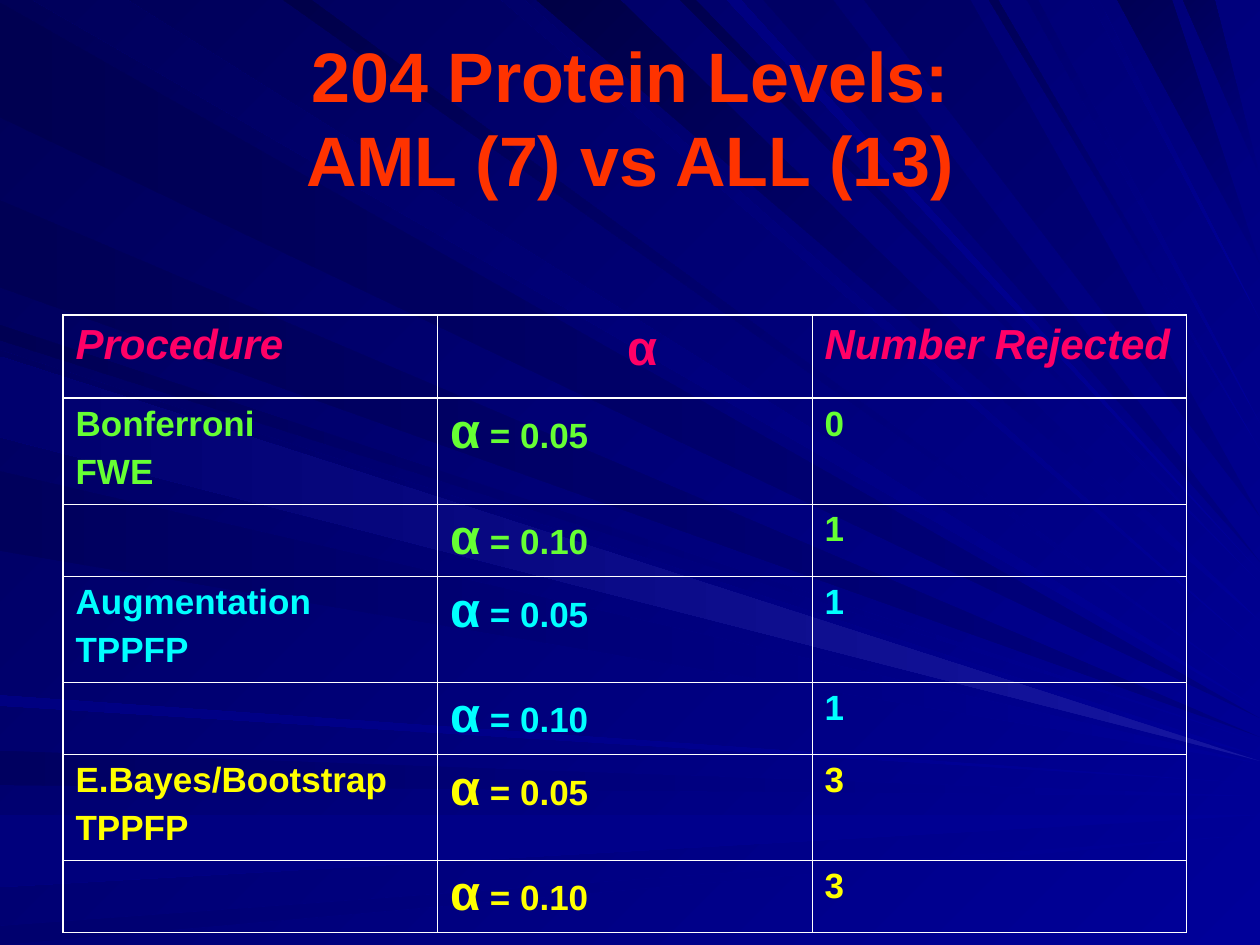
from lxml import etree
from pptx import Presentation
from pptx.dml.color import RGBColor
from pptx.enum import text
from pptx.oxml.ns import qn
from pptx.util import Cm, Pt

FONT = "Arial"
TITLE = "204 Protein Levels:\vAML (7) vs ALL (13)"
TITLE_COLOR, HEADER_COLOR, BORDER_COLOR = "FF3300", "FF0066", "FFFFFF"

HEADERS = ["Procedure", "α", "Number Rejected"]
# procedure lines, colour, (level, number rejected)
PROCEDURES = [
    (["Bonferroni", "FWE"], "66FF33", [("0.05", "0"), ("0.10", "1")]),
    (["Augmentation", "TPPFP"], "00FFFF", [("0.05", "1"), ("0.10", "1")]),
    (["E.Bayes/Bootstrap", "TPPFP"], "FFFF00", [("0.05", "3"), ("0.10", "3")]),
]
COLUMN_WIDTH = 7.55
HEADER_HEIGHT, FIRST_HEIGHT, SECOND_HEIGHT = 1.68, 2.13, 1.46
OUTER, HEADER_RULE, INNER = 1.08, 1.47, 0.45

# Each ray narrows from a stretch of the left or top edge to a tip on the right edge.
# Start and end of the stretch, height of the tip, colours at tip and edge
RAY_UNIT = Cm(0.0254)
RIGHT_EDGE = 1000
LEFT_RAYS = [
    (2, 93, 570, "000080", "000051"),
    (596, 623, 632, "000099", "000060"),
    (647, 704, 647, "000099", "00007C"),
    (735, 750, 662, "000099", "00006E"),
    (258, 270, 589, "000099", "000053"),
    (159, 228, 585, "000080", "000055"),
    (278, 342, 600, "000099", "000060"),
    (374, 437, 606, "000099", "00005C"),
    (552, 560, 622, "000099", "000081"),
    (283, 347, 604, "1616A1", "00006E"),
]
TOP_RAYS = [
    (26, 101, 563, "000099", "00005C"),
    (398, 416, 518, "000099", "00006A"),
    (426, 492, 493, "000099", "000046"),
    (540, 552, 463, "000099", "00004E"),
    (606, 661, 446, "000080", "000064"),
    (887, 930, 210, "000080", "000055"),
    (939, 964, 140, "000080", "000059"),
    (225, 247, 550, "000099", "00004A"),
    (577, 588, 454, "000099", "000081"),
    (686, 770, 410, "000080", "000064"),
    (785, 792, 357, "000099", "000057"),
    (815, 824, 336, "000099", "00006E"),
    (865, 872, 254, "000099", "000078"),
]


def rgb(color):
    return RGBColor.from_string(color)


def paint_gradient(fill, colors, angle):
    """Fill with a gradient turned counterclockwise by angle."""
    fill.gradient()
    fill.gradient_angle = angle
    for stop, color in zip(fill.gradient_stops, colors):
        stop.color.rgb = rgb(color)


def draw_ray(slide, base, tip, colors, angle):
    builder = slide.shapes.build_freeform(*base[0], scale=RAY_UNIT)
    builder.add_line_segments([(RIGHT_EDGE, tip), base[1]], close=True)
    ray = builder.convert_to_shape()
    ray.shadow.inherit = False
    ray.line.fill.background()
    paint_gradient(ray.fill, colors, angle)


def add_background(slide):
    paint_gradient(slide.background.fill, ["000099", "000057"], 135)
    for start, end, tip, *colors in LEFT_RAYS:
        draw_ray(slide, [(0, start), (0, end)], tip, colors, 180)
    for start, end, tip, *colors in TOP_RAYS:
        draw_ray(slide, [(start, 0), (end, 0)], tip, colors, 135)


def style(font, size, color, italic=False):
    font.name, font.size, font.bold, font.italic = FONT, Pt(size), True, italic
    font.color.rgb = rgb(color)


def write(cell, lines, size, color, italic=False):
    cell.text = "\n".join(lines)
    for index, paragraph in enumerate(cell.text_frame.paragraphs):
        if index:
            paragraph.space_before = Pt(5)
        style(paragraph.font, size, color, italic)


def write_level(cell, level, color):
    paragraph = cell.text_frame.paragraphs[0]
    for part, size in (("α", 28), (f" = {level}", 20)):
        run = paragraph.add_run()
        run.text = part
        style(run.font, size, color)


def set_borders(cell, widths):
    """Widths in points: left, right, top, bottom."""
    properties = cell._tc.get_or_add_tcPr()
    for index, (side, width) in enumerate(zip("LRTB", widths)):
        line = etree.Element(qn(f"a:ln{side}"), w=str(Pt(width)))
        solid = etree.SubElement(line, qn("a:solidFill"))
        etree.SubElement(solid, qn("a:srgbClr"), val=BORDER_COLOR)
        properties.insert(index, line)


def add_title(slide):
    title = slide.shapes.title
    slide.shapes._spTree.append(title._element)  # in front of the rays
    title.left, title.top, title.width, title.height = Cm(1.27), Cm(0.76), Cm(22.86), Cm(3.18)
    frame = title.text_frame
    frame.text = TITLE
    frame.auto_size = text.MSO_AUTO_SIZE.NONE
    frame.vertical_anchor = text.MSO_ANCHOR.MIDDLE
    frame.paragraphs[0].alignment = text.PP_ALIGN.CENTER
    style(frame.paragraphs[0].font, 40, TITLE_COLOR)


def add_results(slide):
    heights = [HEADER_HEIGHT] + [FIRST_HEIGHT, SECOND_HEIGHT] * len(PROCEDURES)
    rows, columns = len(heights), len(HEADERS)
    table = slide.shapes.add_table(rows, columns, Cm(1.27), Cm(6.35),
                                   Cm(COLUMN_WIDTH * columns), Cm(sum(heights))).table
    table.first_row = table.horz_banding = False
    for column in table.columns:
        column.width = Cm(COLUMN_WIDTH)
    for row, height in zip(table.rows, heights):
        row.height = Cm(height)

    for c, header in enumerate(HEADERS):
        is_symbol = header == "α"
        write(table.cell(0, c), [header], 28 if is_symbol else 24, HEADER_COLOR, not is_symbol)
    table.cell(0, 1).margin_left = Cm(3.82)

    for p, (names, color, results) in enumerate(PROCEDURES):
        first = 1 + p * len(results)
        write(table.cell(first, 0), names, 20, color)
        for r, (level, rejected) in enumerate(results, first):
            write_level(table.cell(r, 1), level, color)
            write(table.cell(r, 2), [rejected], 20, color)

    vertical = [OUTER] + [INNER] * (columns - 1) + [OUTER]
    horizontal = [OUTER, HEADER_RULE] + [INNER] * (rows - 2) + [OUTER]
    for r in range(rows):
        for c in range(columns):
            cell = table.cell(r, c)
            cell.fill.background()
            set_borders(cell, vertical[c:c + 2] + horizontal[r:r + 2])


def main():
    deck = Presentation()
    deck.slide_width, deck.slide_height = Cm(25.4), Cm(19.05)
    slide = deck.slides.add_slide(deck.slide_layouts[5])
    add_background(slide)
    add_title(slide)
    add_results(slide)
    deck.save("out.pptx")


if __name__ == "__main__":
    main()
